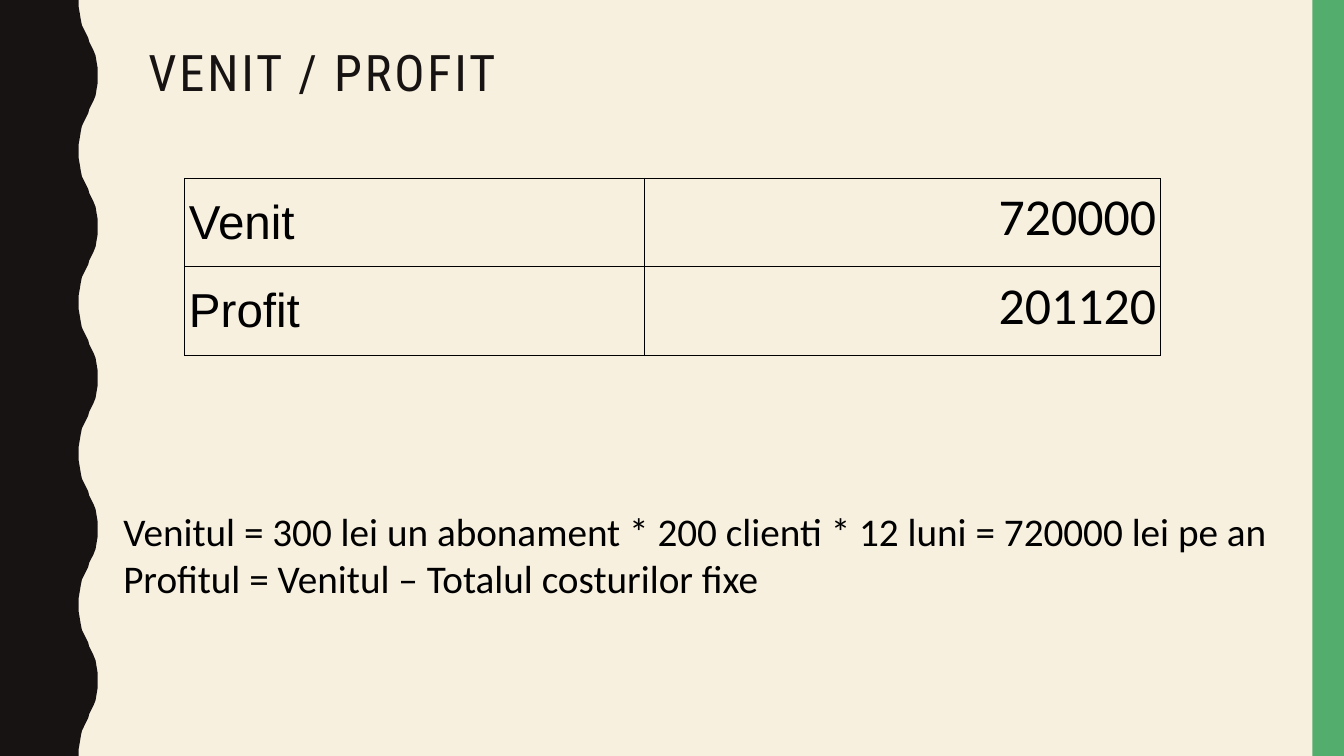
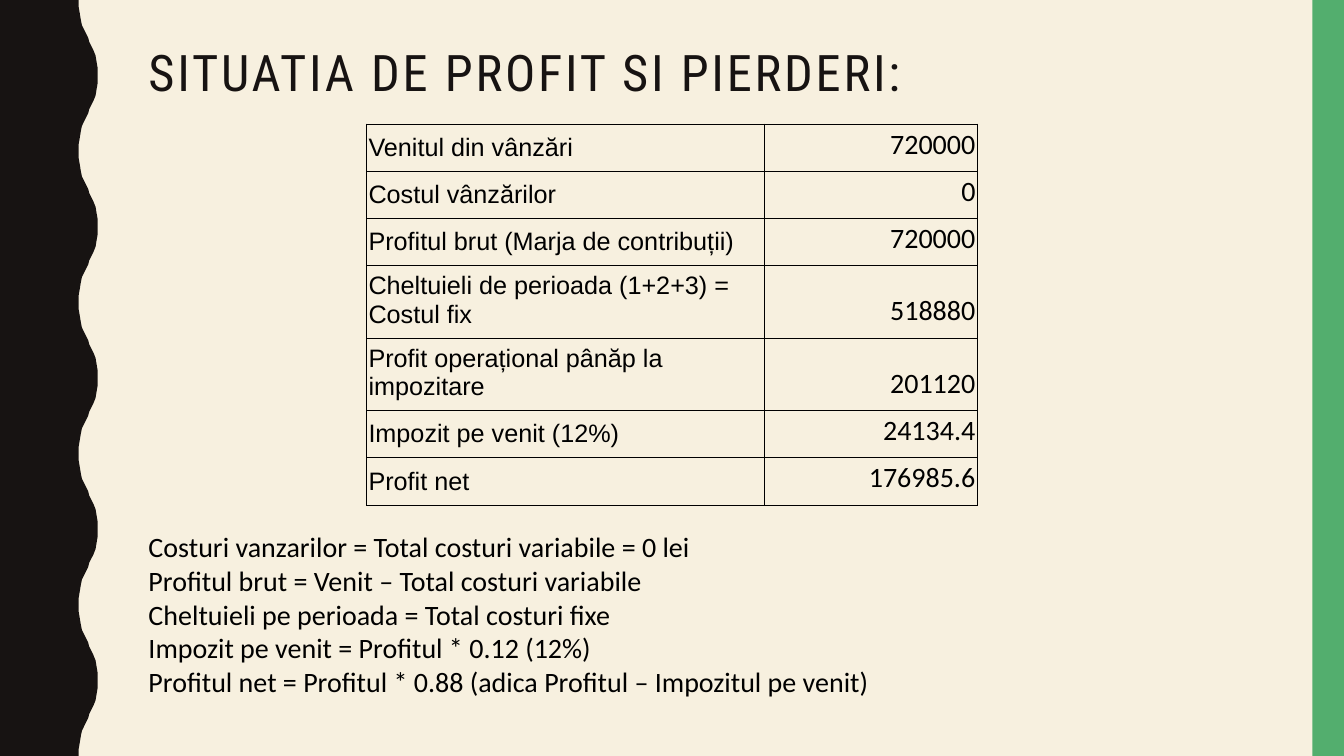
from lxml import etree
from pptx import Presentation
from pptx import util as u
from pptx.dml.color import RGBColor
from pptx.enum import shapes, text
from pptx.oxml import parse_xml
from pptx.oxml.ns import nsdecls

PX = 9525  # EMU in one px, 96 px to the inch
W, H = 1280, 720
CREAM, INK, GREEN, BLACK = "F7F0DF", "171312", "53AE6E", "000000"

# Half a wave of the left band, from its narrowest to its widest point
HALF_WAVE = [(75, 0), (75, 7), (76, 13), (77, 19), (78, 24), (80, 28), (82, 32), (84, 36),
             (85, 40), (87, 44), (89, 48), (91, 53), (92, 59), (93, 65), (93, 72)]
PERIOD = 144
wave = HALF_WAVE + [(x, PERIOD - y) for x, y in HALF_WAVE[-2::-1]]
edge = [(x, y + top) for top in range(0, H, PERIOD) for x, y in wave]

SLIDES = [
    dict(
        title="VENIT / PROFIT",
        table=dict(left=176, top=170, cols=[438, 491], rows=[84, 84],
                   sizes=[34, 37], inset=4, bottom=16),
        cells=[("Venit", "720000"), ("Profit", "201120")],
        notes=["Venitul = 300 lei un abonament * 200 clienti * 12 luni = 720000 lei pe an",
               "Profitul = Venitul – Totalul costurilor fixe"],
        notes_box=(108, 478, 1116, 100), notes_size=28,
    ),
    dict(
        title="SITUATIA DE PROFIT SI PIERDERI:",
        table=dict(left=349, top=118, cols=[379, 203], rows=[45, 45, 45, 69, 69, 45, 45],
                   sizes=[18, 20], inset=2, bottom=9),
        cells=[("Venitul din vânzări", "720000"),
               ("Costul vânzărilor", "0"),
               ("Profitul brut (Marja de contribuții)", "720000"),
               ("Cheltuieli de perioada (1+2+3) = Costul fix", "518880"),
               ("Profit operațional pânăp la impozitare", "201120"),
               ("Impozit pe venit (12%)", "24134.4"),
               ("Profit net", "176985.6")],
        notes=["Costuri vanzarilor = Total costuri variabile = 0 lei",
               "Profitul brut = Venit – Total costuri variabile",
               "Cheltuieli pe perioada = Total costuri fixe",
               "Impozit pe venit = Profitul * 0.12 (12%)",
               "Profitul net = Profitul * 0.88 (adica Profitul – Impozitul pe venit)"],
        notes_box=(132, 500, 1068, 204), notes_size=20,
    ),
]


def paint(sp, color):
    """Fill a shape with one plain colour, without line or shadow."""
    sp.fill.solid()
    sp.fill.fore_color.rgb = RGBColor.from_string(color)
    sp.line.fill.background()
    sp.shadow.inherit = False


def write(tf, lines, size, font="Calibri", color=BLACK, align=text.PP_ALIGN.LEFT,
          line_spacing=None, tracking=None):
    """Write one paragraph per line; tracking is in points."""
    tf.word_wrap = True
    for i, line in enumerate(lines):
        p = tf.add_paragraph() if i else tf.paragraphs[0]
        p.alignment = align
        p.line_spacing = line_spacing
        r = p.add_run()
        r.text = line
        r.font.size = u.Pt(size)
        r.font.name = font
        r.font.color.rgb = RGBColor.from_string(color)
        if tracking:
            r.font._element.set("spc", str(tracking * 100))


prs = Presentation()
prs.slide_width, prs.slide_height = W * PX, H * PX

for page in SLIDES:
    s = prs.slides.add_slide(prs.slide_layouts[6])
    s.background.fill.solid()
    s.background.fill.fore_color.rgb = RGBColor.from_string(CREAM)

    # Wavy band on the left, green band on the right
    outline = s.shapes.build_freeform(0, 0, scale=PX)
    outline.add_line_segments(edge + [(0, H)], close=True)
    paint(outline.convert_to_shape(), INK)
    green_band = s.shapes.add_shape(shapes.MSO_SHAPE.RECTANGLE, 1250 * PX, 0, 30 * PX, H * PX)
    paint(green_band, GREEN)

    title = s.shapes.add_textbox(132 * PX, 40 * PX, 1068 * PX, 62 * PX)
    title.text_frame.vertical_anchor = text.MSO_ANCHOR.BOTTOM
    write(title.text_frame, [page["title"]], 36, font="Roboto Condensed", color=INK,
          line_spacing=0.9, tracking=2)

    notes = s.shapes.add_textbox(*(v * PX for v in page["notes_box"]))
    write(notes.text_frame, page["notes"], page["notes_size"])

    t = page["table"]
    table = s.shapes.add_table(len(t["rows"]), len(t["cols"]), t["left"] * PX, t["top"] * PX,
                               sum(t["cols"]) * PX, sum(t["rows"]) * PX).table
    table.first_row = table.horz_banding = False
    for col, width in zip(table.columns, t["cols"]):
        col.width = width * PX
    for row, height, values in zip(table.rows, t["rows"], page["cells"]):
        row.height = height * PX
        formats = zip(row.cells, values, t["sizes"], ["Arial", "Calibri"],
                      [text.PP_ALIGN.LEFT, text.PP_ALIGN.RIGHT])
        for cell, value, size, font, align in formats:
            cell.margin_left = cell.margin_right = cell.margin_top = t["inset"] * PX
            cell.margin_bottom = t["bottom"] * PX
            cell.vertical_anchor = text.MSO_ANCHOR.BOTTOM
            cell.fill.background()
            write(cell.text_frame, [value], size, font=font, align=align)
            tc_pr = cell._tc.get_or_add_tcPr()
            for i, side in enumerate("LRTB"):
                border = parse_xml(f'<a:ln{side} {nsdecls("a")} w="{u.Pt(0.5)}"/>')
                fill = etree.SubElement(border, border.tag.replace(f"ln{side}", "solidFill"))
                etree.SubElement(fill, fill.tag.replace("solidFill", "srgbClr"), val=BLACK)
                tc_pr.insert(i, border)

prs.save("out.pptx")
